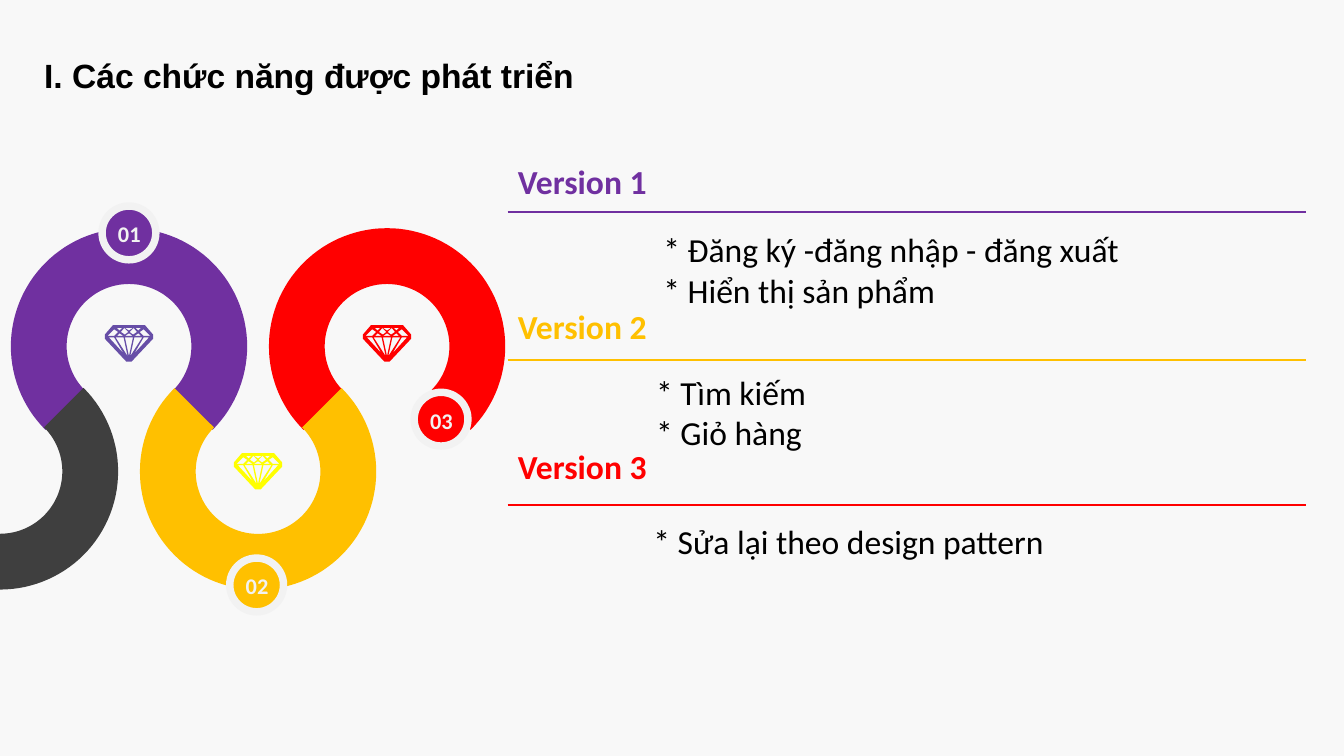
from math import cos, radians, sin

from lxml import etree
from pptx import Presentation
from pptx.dml.color import RGBColor
from pptx.enum.shapes import MSO_CONNECTOR, MSO_SHAPE
from pptx.enum.text import PP_ALIGN
from pptx.oxml.ns import qn
from pptx.util import Pt

LINE = MSO_CONNECTOR.STRAIGHT
OVAL = MSO_SHAPE.OVAL
LEFT, CENTER = PP_ALIGN.LEFT, PP_ALIGN.CENTER

PURPLE = RGBColor(0x70, 0x30, 0xA0)
VIOLET = RGBColor(0x67, 0x4E, 0xA7)
AMBER = RGBColor(0xFF, 0xC0, 0x00)
YELLOW = RGBColor(0xFF, 0xFF, 0x00)
RED = RGBColor(0xFF, 0x00, 0x00)
DARK = RGBColor(0x3F, 0x3F, 0x3F)
PALE = RGBColor(0xF2, 0xF2, 0xF2)
BLACK = RGBColor(0x00, 0x00, 0x00)
BACKGROUND = RGBColor(0xF8, 0xF8, 0xF8)

OUTER, INNER = 63.3, 33.4
RING_STEP = 69.12
TOP_Y, BOTTOM_Y = 185.6, 252.6
RULE_LEFT, RULE_RIGHT = 272, 699.8

GEM_UNIT, GEM_WIDTH, GEM_HEIGHT = 0.72, 36, 27
GEM_OUTLINE = [(30, 0), (6, 0), (0, 7), (0, 10), (16, 27), (20, 27), (36, 10), (36, 7)]
GEM_MIDDLE = [
    [(18, 4), (15, 2), (21, 2)],
    [(21, 8), (15, 8), (18, 6)],
    [(21, 9), (18, 23), (15, 9)],
]
GEM_SIDE = [
    [(15, 7), (12, 5), (14.5, 2), (17.5, 5)],
    [(14, 9), (17, 23), (8, 9)],
    [(11, 4), (9, 2), (13, 2)],
    [(11, 6), (14, 8), (9, 8)],
    [(14, 21), (3, 9), (7, 9)],
    [(7, 3), (10, 5), (7, 8), (2, 8)],
]


def add_text(shapes, text, x, y, w, h, size=18, font="Calibri", color=BLACK,
             bold=False, align=LEFT, spacing=None, inset=(5.4, 2.7)):
    s = shapes.add_textbox(Pt(x), Pt(y), Pt(w), Pt(h))
    tf = s.text_frame
    tf.word_wrap = True
    tf.margin_left = tf.margin_right = Pt(inset[0])
    tf.margin_top = tf.margin_bottom = Pt(inset[1])
    for i, line in enumerate(text.split("\n")):
        p = tf.add_paragraph() if i else tf.paragraphs[0]
        p.alignment = align
        p.line_spacing = spacing
        r = p.add_run()
        r.text = line
        r.font.size, r.font.name, r.font.bold = Pt(size), font, bold
        r.font.color.rgb = color


def add_outline(shapes, contours, color):
    contours = [[(Pt(x), Pt(y)) for x, y in c] for c in contours]
    builder = shapes.build_freeform(*contours[0][0])
    for i, points in enumerate(contours):
        if i:
            builder.move_to(*points[0])
        builder.add_line_segments(points[1:], close=True)
    s = builder.convert_to_shape()
    s.shadow.inherit = False
    s.fill.solid()
    s.fill.fore_color.rgb = color
    s.line.fill.background()
    return s


def add_ring(shapes, cx, cy, color, start=90, end=360, rotation=0):
    def arc(radius):
        return [(cx + radius * cos(radians(a)), cy + radius * sin(radians(a)))
                for a in range(start, end + 1, 3)]

    s = add_outline(shapes, [arc(OUTER) + arc(INNER)[::-1]], color)
    s.rotation = rotation


def add_gem(shapes, cx, cy, color):
    mirrored = [[(GEM_WIDTH - x, y) for x, y in facet] for facet in GEM_SIDE]
    contours = [GEM_OUTLINE] + GEM_MIDDLE + GEM_SIDE + mirrored
    placed = [[(cx + (x - GEM_WIDTH / 2) * GEM_UNIT, cy + (y - GEM_HEIGHT / 2) * GEM_UNIT)
               for x, y in c] for c in contours]
    add_outline(shapes, placed, color)


def add_badge(shapes, label, cx, cy, color):
    group = shapes.add_group_shape().shapes
    s = group.add_shape(OVAL, Pt(cx - 14.4), Pt(cy - 14.4), Pt(28.8), Pt(28.8))
    s.shadow.inherit = False
    s.fill.solid()
    s.fill.fore_color.rgb = color
    s.line.color.rgb = PALE
    s.line.width = Pt(4)
    add_text(group, label, cx - 17.4, cy - 9.4, 35.2, 20.2, size=12,
             color=PALE, bold=True, align=CENTER)


def add_rule(shapes, y, color):
    s = shapes.add_connector(LINE, Pt(RULE_LEFT), Pt(y), Pt(RULE_RIGHT), Pt(y))
    s.line.color.rgb = color
    s.line.width = Pt(1)
    etree.SubElement(s._element.spPr, qn("a:effectLst"))


def main():
    prs = Presentation()
    prs.slide_width, prs.slide_height = Pt(720), Pt(405)
    slide = prs.slides.add_slide(prs.slide_layouts[6])
    slide.background.fill.solid()
    slide.background.fill.fore_color.rgb = BACKGROUND
    shapes = slide.shapes

    add_ring(shapes, 3 * RING_STEP, TOP_Y, RED, rotation=45)
    add_ring(shapes, RING_STEP, TOP_Y, PURPLE, rotation=45)
    add_ring(shapes, 2 * RING_STEP, BOTTOM_Y, AMBER, rotation=225)
    add_ring(shapes, 0, BOTTOM_Y, DARK, start=-45, end=90)

    add_badge(shapes, "03", 236.3, 224.6, RED)
    add_badge(shapes, "02", 137.5, 313.4, AMBER)
    add_badge(shapes, "01", 69.1, 124.8, PURPLE)

    versions = [
        ("Version 1", 87.8, 29.5, 113.6, PURPLE,
         "* Đăng ký -đăng nhập - đăng xuất\n* Hiển thị sản phẩm", 350, 120.2, 357, 63.4),
        ("Version 2", 165.6, 24.5, 193, AMBER,
         " * Tìm kiếm\n * Giỏ hàng", 342, 196.6, 358, 60.5),
        ("Version 3", 240.5, 28, 270.7, RED,
         " * Sửa lại theo design pattern", 340.6, 276.5, 359.2, 52.6),
    ]
    for name, y, h, rule_y, color, body, *box in versions:
        add_rule(shapes, rule_y, color)
        add_text(shapes, body, *box)
        add_text(shapes, name, RULE_LEFT, y, 95.8, h, color=color, bold=True, spacing=0.8)

    add_gem(shapes, 3 * RING_STEP, 184, RED)
    add_gem(shapes, RING_STEP, 184, VIOLET)
    add_gem(shapes, 2 * RING_STEP, 252.5, YELLOW)

    add_text(shapes, "I. Các chức năng được phát triển", 16.6, 22.3, 440, 38.9,
             font="Arial", bold=True, inset=(7.2, 7.2))
    prs.save("out.pptx")


if __name__ == "__main__":
    main()
